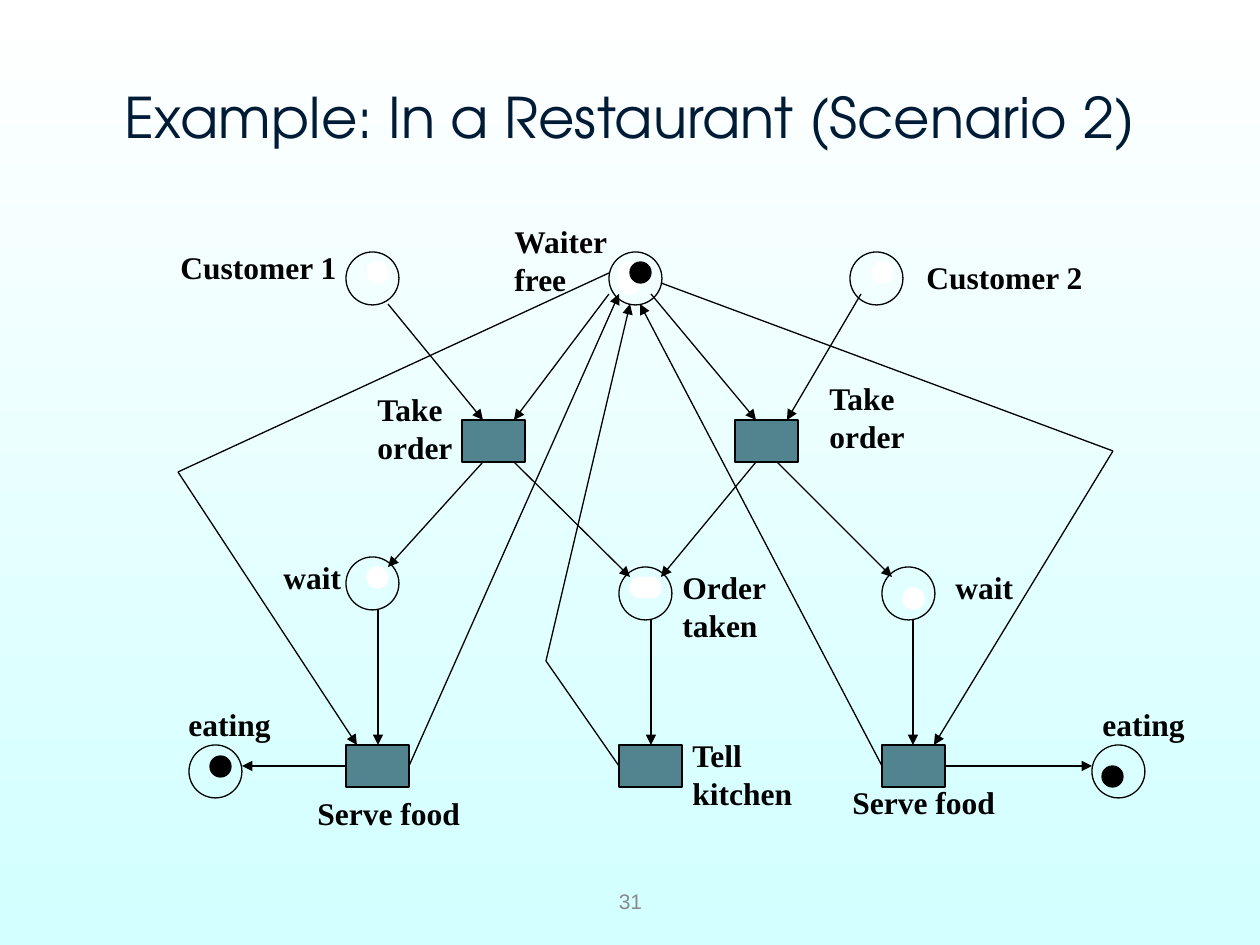
"""Builds a Petri net slide of a restaurant with two customers and one waiter."""
from itertools import pairwise

from lxml.etree import SubElement
from pptx import Presentation
from pptx.dml.color import RGBColor
from pptx.enum.shapes import MSO_CONNECTOR, MSO_SHAPE
from pptx.enum.text import MSO_ANCHOR, MSO_AUTO_SIZE, PP_ALIGN
from pptx.oxml.ns import qn
from pptx.util import Pt

SCALE = 914400 / 126
HUES = {"ink": "000000", "white": "FFFFFF", "aqua": "D2FFFF",
        "teal": "51848E", "navy": "001B36", "gray": "898989"}
PLACES = [(346, 252), (609, 252), (850, 252), (346, 557),
          (619, 567), (882, 567), (189, 745), (1092, 745)]
STEPS = [(462, 420), (735, 420), (346, 745), (619, 745), (882, 745)]
BLANKS = [(367, 262), (619, 262), (619, 273), (872, 262),
          (367, 567), (630, 577), (640, 577), (903, 588)]
TOKENS = [(630, 262), (210, 756), (1102, 766)]
ROUTES = [
    [(388, 304), (483, 420)],
    [(609, 294), (514, 420)],
    [(651, 294), (756, 420)],
    [(861, 294), (787, 420)],
    [(483, 462), (388, 567)],
    [(514, 462), (630, 577)],
    [(756, 462), (661, 577)],
    [(777, 462), (892, 577)],
    [(378, 609), (378, 745)],
    [(651, 619), (651, 745)],
    [(913, 619), (913, 745)],
    [(346, 766), (242, 766)],
    [(945, 766), (1092, 766)],
    [(409, 766), (619, 294)],
    [(882, 766), (640, 304)],
    [(619, 766), (546, 661), (630, 304)],
    [(609, 273), (178, 472), (357, 745)],
    [(661, 283), (1113, 451), (934, 745)],
]
LABELS = [
    (502, 216, 120, ["Waiter", "free"]),
    (168, 242, 181, ["Customer 1"]),
    (914, 252, 181, ["Customer 2"]),
    (365, 384, 102, ["Take", "order"]),
    (817, 373, 102, ["Take", "order"]),
    (670, 562, 114, ["Order", "taken"]),
    (680, 730, 127, ["Tell", "kitchen"]),
    (271, 552, 84, ["wait"]),
    (943, 562, 84, ["wait"]),
    (305, 788, 169, ["Serve food"]),
    (840, 777, 169, ["Serve food"]),
    (176, 699, 109, ["eating"]),
    (1090, 699, 109, ["eating"]),
]


def px(*nums):
    """Turn pixels into EMU."""
    return [round(num * SCALE) for num in nums]


def hue(name):
    """Look up a colour by name."""
    return RGBColor.from_string(HUES[name])


def paint(slide):
    """Fill the background with a gradient from top to bottom."""
    fill = slide.background.fill
    fill.gradient()
    fill.gradient_angle = 270
    for stop, name in zip(fill.gradient_stops, ("white", "aqua")):
        stop.color.rgb = hue(name)


def node(slide, kind, spot, size, fill=None, edge="ink"):
    """Draw a place, a token or a step."""
    shape = slide.shapes.add_shape(kind, *px(*spot, *size))
    shape.shadow.inherit = False
    if fill:
        shape.fill.solid()
        shape.fill.fore_color.rgb = hue(fill)
    else:
        shape.fill.background()
    shape.line.color.rgb = hue(edge)
    shape.line.width = Pt(0.75)


def route(slide, points):
    """Draw straight parts through the points, with a head on the last."""
    for start, end in pairwise(points):
        part = slide.shapes.add_connector(MSO_CONNECTOR.STRAIGHT, *px(*start, *end))
        part.line.color.rgb = hue("ink")
        part.line.width = Pt(0.75)
        if end == points[-1]:
            SubElement(part.line._get_or_add_ln(), qn("a:tailEnd"), type="triangle")
        SubElement(part._element.spPr, qn("a:effectLst"))


def write(slide, area, lines, face, size, tint, bold=False, mid=False):
    """Write lines in a text box, centred and wrapped when mid is set."""
    frame = slide.shapes.add_textbox(*px(*area)).text_frame
    frame.word_wrap = mid
    frame.auto_size = MSO_AUTO_SIZE.NONE if mid else MSO_AUTO_SIZE.SHAPE_TO_FIT_TEXT
    frame.vertical_anchor = MSO_ANCHOR.MIDDLE if mid else MSO_ANCHOR.TOP
    for num, line in enumerate(lines):
        para = frame.add_paragraph() if num else frame.paragraphs[0]
        para.alignment = PP_ALIGN.CENTER if mid else PP_ALIGN.LEFT
        run = para.add_run()
        run.text = line
        run.font.name = face
        run.font.size = Pt(size)
        run.font.bold = bold
        run.font.color.rgb = hue(tint)


def main():
    """Build and save the slide."""
    deck = Presentation()
    deck.slide_width, deck.slide_height = px(1260, 945)
    slide = deck.slides.add_slide(deck.slide_layouts[6])
    paint(slide)
    write(slide, (63, 38, 1134, 157), ["Example: In a Restaurant (Scenario 2)"],
          "TeX Gyre Adventor", 32, "navy", mid=True)
    write(slide, (431, 876, 399, 50), ["31"], "Arial", 12, "gray", mid=True)
    for spot in PLACES:
        node(slide, MSO_SHAPE.OVAL, spot, (53, 53))
    for points in ROUTES:
        route(slide, points)
    for left, top, width, lines in LABELS:
        area = (left, top, width, 12 + 38 * len(lines))
        write(slide, area, lines, "Times New Roman", 18, "ink", bold=True)
    for spot in STEPS:
        node(slide, MSO_SHAPE.RECTANGLE, spot, (63, 42), "teal")
    for spots, name in ((BLANKS, "white"), (TOKENS, "ink")):
        for spot in spots:
            node(slide, MSO_SHAPE.OVAL, spot, (21, 21), name, name)
    deck.save("out.pptx")


if __name__ == "__main__":
    main()
